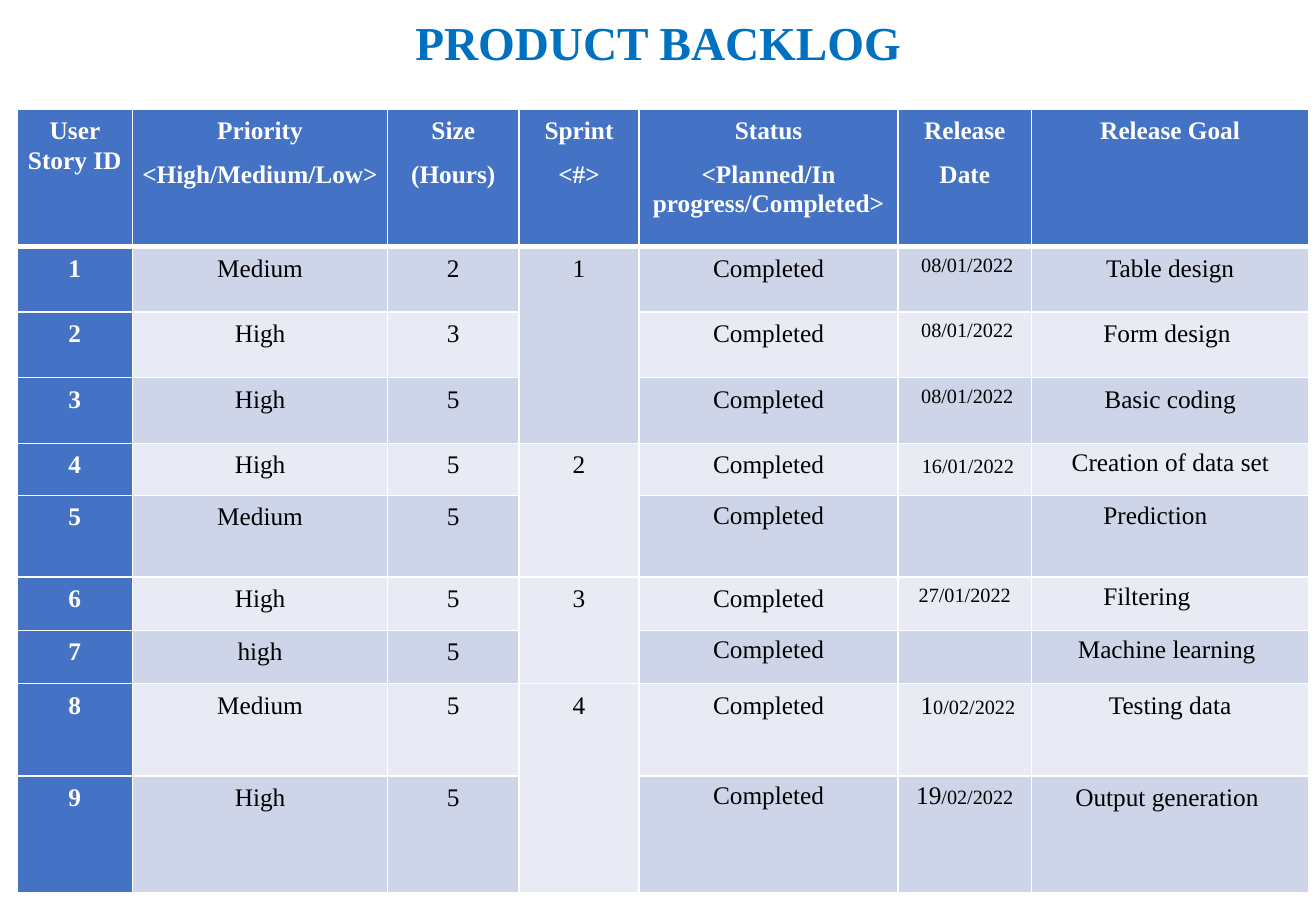
"""Build the product backlog slide."""
from lxml import etree
from pptx import Presentation, util as u
from pptx.dml.color import RGBColor
from pptx.enum import text as t
from pptx.oxml import ns

WHITE = RGBColor(0xFF, 0xFF, 0xFF)
BLACK = RGBColor(0, 0, 0)
TITLE_BLUE = RGBColor(0x00, 0x70, 0xC0)
HEADER_BLUE = RGBColor(0x44, 0x72, 0xC4)
BANDS = RGBColor(0xE8, 0xEB, 0xF4), RGBColor(0xCF, 0xD5, 0xE9)

FONT = "Times New Roman"
SLIDE_WIDTH, SLIDE_HEIGHT = 10.83, 7.5
COLUMNS = [0.95, 2.1, 1.08, 0.99, 2.13, 1.1, 2.28]
ROWS = [1.13, 0.54, 0.54, 0.54, 0.43, 0.67, 0.44, 0.44, 0.76, 0.96]
ID, SPRINT, STATUS, DATE, GOAL = 0, 3, 4, 5, 6
SPRINT_ROWS = [(1, 3), (4, 5), (6, 7), (8, 9)]
GOAL_INDENTS = {4: 0.26, 5: 0.52, 6: 0.52, 7: 0.31}
TIGHT_CELLS = {(5, STATUS), (7, STATUS), (9, STATUS), (9, DATE)}

# A bar in a text switches to the small size; a line break starts a paragraph.
BACKLOG = [
    ("User Story ID", "Priority\n<High/Medium/Low>", "Size\n(Hours)", "Sprint\n<#>",
     "Status\n<Planned/In progress/Completed>", "Release\nDate", "Release Goal"),
    ("1", "Medium", "2", "1", "Completed", "| 08/01/2022", "Table design"),
    ("2", "High", "3", "", "Completed", "| 08/01/2022", "Form design "),
    ("3", "High", "5", "", "Completed", "| 08/01/2022", "Basic coding"),
    ("4", "High", "5", "2", "Completed", " |16/01/2022", "Creation of data set"),
    ("5", "Medium", "5", "", "Completed", "", "Prediction"),
    ("6", "High", "5", "3", "Completed", "|27/01/2022", "Filtering"),
    ("7", "high", "5", "", "Completed", "", "Machine learning"),
    ("8", "Medium", "5", "4", "Completed", " 1|0/02/2022", "Testing data"),
    ("9", "High", "5", "", "Completed", "19|/02/2022", "Output generation "),
]


def write(frame, content, size=15, small=12, color=BLACK, bold=False,
          align=t.PP_ALIGN.CENTER, spacing=1.07, after=8):
    """Fill a text frame with formatted paragraphs and runs."""
    for index, line in enumerate(content.split("\n")):
        paragraph = frame.add_paragraph() if index else frame.paragraphs[0]
        paragraph.alignment = align
        paragraph.line_spacing = spacing
        paragraph.space_after = u.Pt(after)
        for part, points in zip(line.split("|"), (size, small)):
            if part:
                run = paragraph.add_run()
                run.text = part
                run.font.name, run.font.size = FONT, u.Pt(points)
                run.font.bold, run.font.color.rgb = bold, color


def set_borders(cell, top, bottom):
    """Draw white borders on the four sides of a cell."""
    properties = cell.fill._xPr
    sides = {"lnL": 0.96, "lnR": 0.96, "lnT": top, "lnB": bottom}
    for position, (side, width) in enumerate(sides.items()):
        border = etree.Element(ns.qn(f"a:{side}"), w=str(u.Pt(width)))
        paint = etree.SubElement(border, ns.qn("a:solidFill"))
        etree.SubElement(paint, ns.qn("a:srgbClr"), val=str(WHITE))
        properties.insert(position, border)


def add_title(slide):
    """Add the centred slide heading."""
    heading = slide.shapes.add_textbox(
        u.Inches(SLIDE_WIDTH * 0.05), 0,
        u.Inches(SLIDE_WIDTH * 0.9), u.Inches(SLIDE_HEIGHT * 0.1)).text_frame
    heading.word_wrap = True
    heading.vertical_anchor = t.MSO_ANCHOR.MIDDLE
    write(heading, "PRODUCT BACKLOG", size=28, color=TITLE_BLUE, bold=True,
          spacing=0.9, after=0)


def format_cell(cell, row, column, content):
    """Set the fill, margins, borders and text of one backlog cell."""
    strong = row == 0 or column == ID
    indented = column == GOAL and row in GOAL_INDENTS
    tight = indented or (row, column) in TIGHT_CELLS
    cell.fill.solid()
    cell.fill.fore_color.rgb = HEADER_BLUE if strong else BANDS[row % 2]
    cell.margin_left = u.Inches(0.07 + (GOAL_INDENTS[row] if indented else 0))
    cell.margin_right = u.Inches(0.07)
    cell.margin_top = cell.margin_bottom = u.Inches(0.05)
    set_borders(cell, top=3 if row == 1 else 0.96, bottom=3 if row == 0 else 0.96)
    if content:
        write(cell.text_frame, content, color=WHITE if strong else BLACK, bold=strong,
              align=t.PP_ALIGN.LEFT if indented else t.PP_ALIGN.CENTER,
              spacing=1.0 if tight else 1.07, after=0 if tight else 8)


def add_backlog(slide):
    """Add the backlog table with its merged sprint cells."""
    backlog = slide.shapes.add_table(
        len(ROWS), len(COLUMNS), u.Inches(0.14), u.Inches(SLIDE_HEIGHT * 0.12),
        u.Inches(sum(COLUMNS)), u.Inches(sum(ROWS))).table
    for column, width in zip(backlog.columns, COLUMNS):
        column.width = u.Inches(width)
    for row, height in zip(backlog.rows, ROWS):
        row.height = u.Inches(height)
    for row, entries in enumerate(BACKLOG):
        for column, content in enumerate(entries):
            format_cell(backlog.cell(row, column), row, column, content)
    for first, last in SPRINT_ROWS:
        backlog.cell(first, SPRINT).merge(backlog.cell(last, SPRINT))


def main():
    """Build and save the slide."""
    deck = Presentation()
    deck.slide_width, deck.slide_height = u.Inches(SLIDE_WIDTH), u.Inches(SLIDE_HEIGHT)
    slide = deck.slides.add_slide(deck.slide_layouts[6])
    add_title(slide)
    add_backlog(slide)
    deck.save("out.pptx")


if __name__ == "__main__":
    main()
